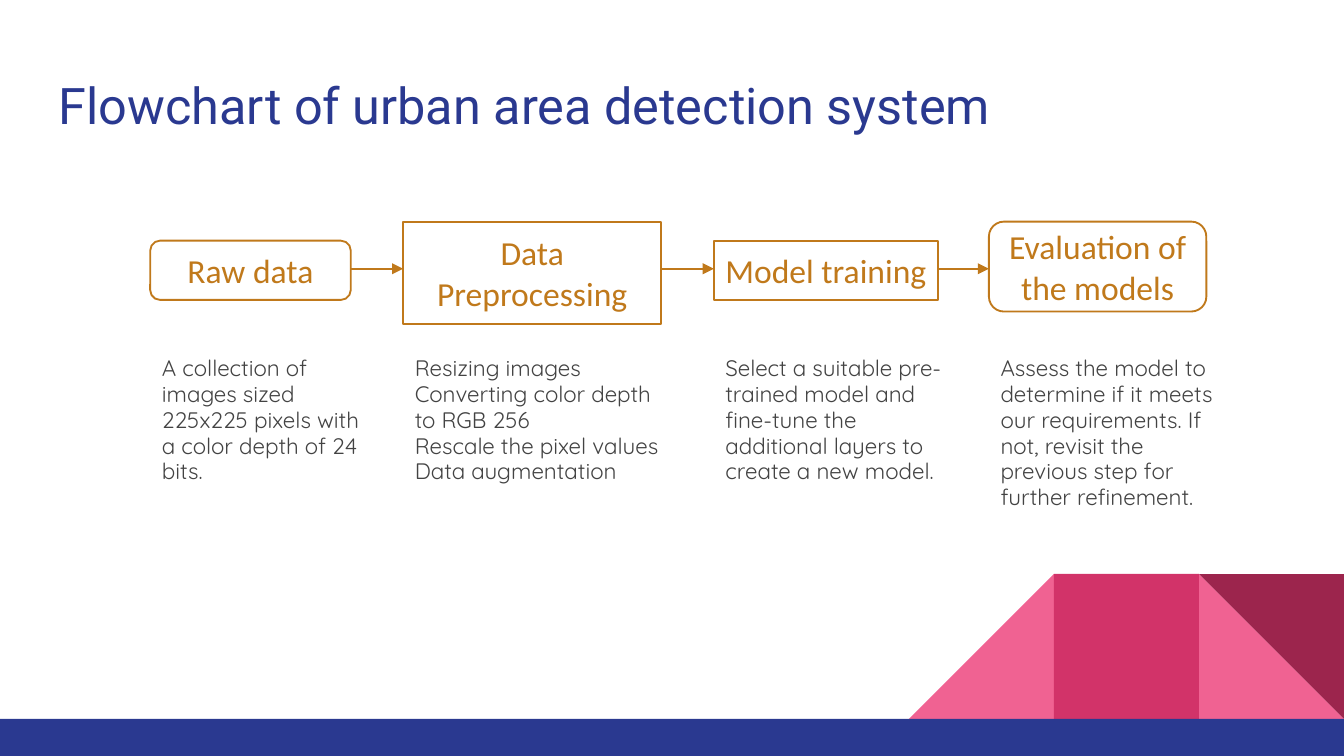
from itertools import pairwise

from lxml.etree import SubElement
from pptx import Presentation
from pptx.dml.color import RGBColor
from pptx.enum.shapes import MSO_CONNECTOR as Connector, MSO_SHAPE as Shape
from pptx.enum.text import MSO_ANCHOR as Anchor, PP_ALIGN as Align
from pptx.oxml.ns import qn
from pptx.util import Cm, Pt

COLORS = {
    "navy": "2A3990",
    "pink": "F06292",
    "rose": "D23369",
    "wine": "9C254D",
    "ochre": "C0791B",
    "gray": "434343",
}
WIDTH, HEIGHT = 25.4, 14.29
BAND_TOP = 13.59
TILE = 2.74
ARROW_Y = 5.08
NOTE_TOP, NOTE_HEIGHT, NOTE_INDENT = 6.48, 4.75, 0.22

# label, shape, left, top, width, height, description paragraphs
STEPS = [
    ("Raw data", Shape.ROUNDED_RECTANGLE, 2.84, 4.55, 3.79, 1.12,
     ["A collection of images sized 225x225 pixels with a color depth of 24 bits."]),
    ("Data Preprocessing", Shape.RECTANGLE, 7.62, 4.19, 4.88, 1.93,
     ["Resizing images", "Converting color depth to RGB 256",
      "Rescale the pixel values", "Data augmentation"]),
    ("Model training", Shape.RECTANGLE, 13.49, 4.55, 4.24, 1.12,
     ["Select a suitable pre-trained model and fine-tune the additional layers "
      "to create a new model."]),
    ("Evaluation of the models", Shape.ROUNDED_RECTANGLE, 18.69, 4.19, 4.11, 1.7,
     ["Assess the model to determine if it meets our requirements. If not, "
      "revisit the previous step for further refinement."]),
]


def color(name):
    return RGBColor.from_string(COLORS[name])


def write(shape, lines, font, size, color_name, inset=(0, 0), anchor=Anchor.TOP,
          align=Align.LEFT, spacing=None):
    """Fill the shape with paragraphs; inset is (horizontal, vertical) in cm."""
    frame = shape.text_frame
    frame.word_wrap = True
    frame.vertical_anchor = anchor
    frame.margin_left = frame.margin_right = Cm(inset[0])
    frame.margin_top = frame.margin_bottom = Cm(inset[1])
    frame.text = "\n".join(lines)
    for paragraph in frame.paragraphs:
        paragraph.alignment = align
        paragraph.line_spacing = spacing
        paragraph.font.name = font
        paragraph.font.size = Pt(size)
        paragraph.font.color.rgb = color(color_name)


def add_block(slide, kind, left, top, width, height, fill, rotation=0):
    shape = slide.shapes.add_shape(kind, Cm(left), Cm(top), Cm(width), Cm(height))
    shape.shadow.inherit = False
    shape.fill.solid()
    shape.fill.fore_color.rgb = color(fill)
    shape.line.fill.background()
    shape.rotation = rotation


def add_decoration(slide):
    tiles = [
        (Shape.RIGHT_TRIANGLE, 1, "pink", 0),
        (Shape.RIGHT_TRIANGLE, 3, "pink", 270),
        (Shape.RECTANGLE, 2, "rose", 0),
        (Shape.RIGHT_TRIANGLE, 1, "wine", 180),
    ]
    for kind, from_right, fill, rotation in tiles:
        add_block(slide, kind, WIDTH - from_right * TILE, BAND_TOP - TILE,
                  TILE, TILE, fill, rotation)
    add_block(slide, Shape.RECTANGLE, 0, BAND_TOP, WIDTH, HEIGHT - BAND_TOP, "navy")


def add_title(slide, text):
    box = slide.shapes.add_textbox(Cm(0.86), Cm(1.14), Cm(23.67), Cm(1.68))
    write(box, [text], "Roboto", 27, "navy", (0.25, 0.25), Anchor.MIDDLE)


def add_step(slide, label, kind, left, top, width, height, notes):
    """Add an outlined step and the description below it."""
    step = slide.shapes.add_shape(kind, Cm(left), Cm(top), Cm(width), Cm(height))
    step.shadow.inherit = False
    step.fill.background()
    step.line.color.rgb = color("ochre")
    step.line.width = Pt(1)
    write(step, [label], "Calibri", 18, "ochre", (0, 0.13), Anchor.MIDDLE, Align.CENTER)

    box = slide.shapes.add_textbox(Cm(left + NOTE_INDENT), Cm(NOTE_TOP),
                                   Cm(width), Cm(NOTE_HEIGHT))
    write(box, notes, "Quicksand", 12, "gray", (0, 0.25), spacing=0.96)


def add_arrow(slide, start, end):
    arrow = slide.shapes.add_connector(Connector.STRAIGHT, Cm(start), Cm(ARROW_Y),
                                       Cm(end), Cm(ARROW_Y))
    arrow.line.color.rgb = color("ochre")
    arrow.line.width = Pt(1.25)
    SubElement(arrow.line._get_or_add_ln(), qn("a:tailEnd"), type="triangle")
    SubElement(arrow._element.spPr, qn("a:effectLst"))


def main():
    presentation = Presentation()
    presentation.slide_width = Cm(WIDTH)
    presentation.slide_height = Cm(HEIGHT)
    slide = presentation.slides.add_slide(presentation.slide_layouts[6])

    add_decoration(slide)
    add_title(slide, "Flowchart of urban area detection system")
    for step in STEPS:
        add_step(slide, *step)
    for (_, _, left, _, width, *_), (_, _, next_left, *_) in pairwise(STEPS):
        add_arrow(slide, left + width, next_left)

    presentation.save("out.pptx")


if __name__ == "__main__":
    main()
